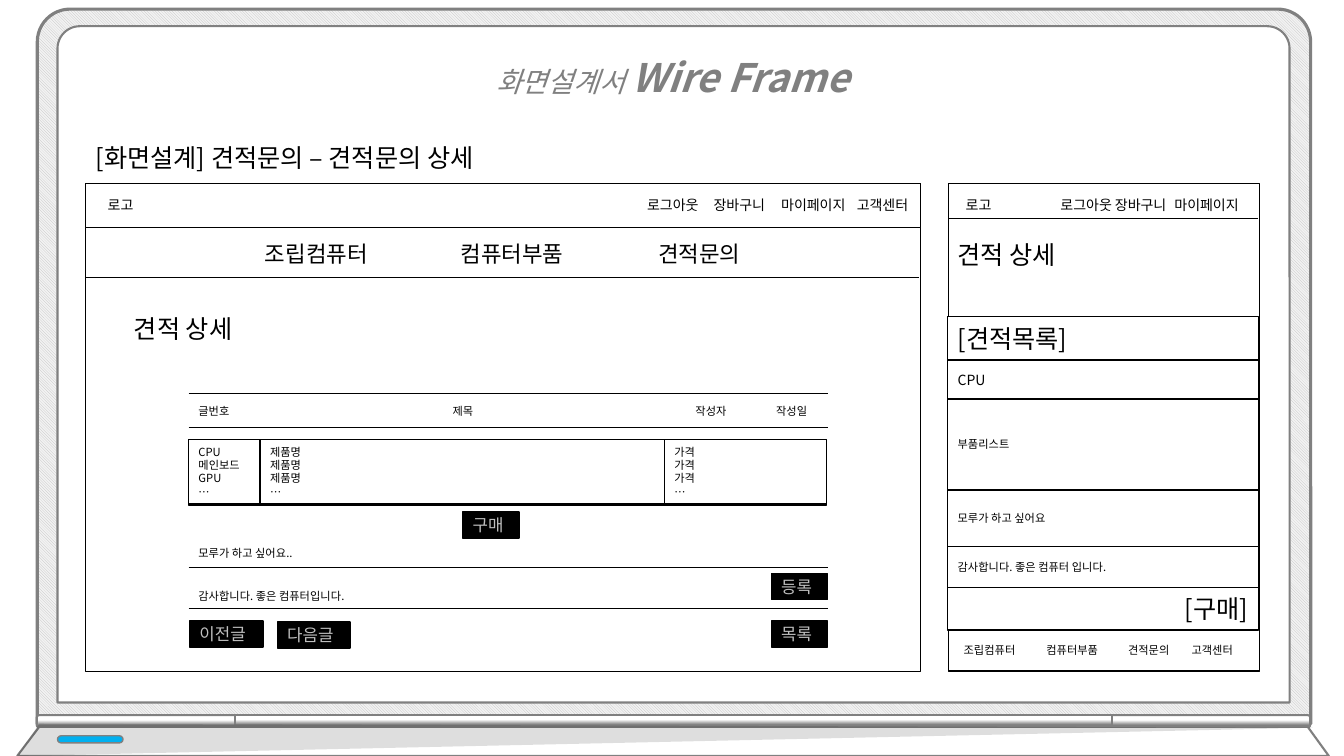
from dataclasses import dataclass
from itertools import accumulate

from lxml.etree import SubElement
from pptx import Presentation
from pptx.dml.color import RGBColor
from pptx.enum.dml import MSO_PATTERN
from pptx.enum.shapes import MSO_CONNECTOR, MSO_SHAPE
from pptx.enum.text import MSO_ANCHOR, MSO_AUTO_SIZE, PP_ALIGN
from pptx.oxml.ns import qn
from pptx.util import Inches, Pt


@dataclass(frozen=True)
class Theme:
    font: str = "Noto Sans CJK KR"
    ink: str = "000000"
    paper: str = "FFFFFF"
    frame: str = "808080"
    hatch: str = "BFBFBF"
    hatch_back: str = "F2F2F2"
    light: str = "00B0F0"
    button_text: str = "BFBFBF"
    title: int = 28
    kicker: int = 20
    heading: int = 18
    menu: int = 16
    button: int = 12
    label: int = 10
    small: int = 8
    border: float = 1
    rule: float = 0.5


THEME = Theme()
TITLE = ("화면설계서 ", "Wire Frame")

LABELS = [
    ("[화면설계] 견적문의 – 견적문의 상세", 0.85, 1.36, 4.85, THEME.heading),
    ("로고", 0.97, 1.9, 2.41, THEME.label),
    ("견적 상세", 1.23, 3.06, 2.29, THEME.heading),
    ("모루가 하고 싶어요..", 1.87, 5.37, 6.33, THEME.small),
    ("감사합니다. 좋은 컴퓨터입니다.", 1.87, 5.8, 5.7, THEME.small),
    ("로고", 9.48, 1.9, 0.52, THEME.label),
    ("견적 상세", 9.4, 2.33, 2.29, THEME.heading),
]
MENUS = [
    (1.9, 1.0, THEME.label,
     [("로그아웃", 6.32), ("장바구니", 6.98), ("마이페이지", 7.65), ("고객센터", 8.4)]),
    (2.33, 1.6, THEME.menu,
     [("조립컴퓨터", 2.53), ("컴퓨터부품", 4.47), ("견적문의", 6.43)]),
    (3.96, 0.6, THEME.small,
     [("글번호", 1.87), ("제목", 4.39), ("작성자", 6.8), ("작성일", 7.6)]),
    (1.9, 1.0, THEME.label,
     [("로그아웃", 10.42), ("장바구니", 10.96), ("마이페이지", 11.55)]),
    (6.33, 0.86, THEME.small,
     [("조립컴퓨터", 9.46), ("컴퓨터부품", 10.28), ("견적문의", 11.09), ("고객센터", 11.72)]),
]
PANELS = [
    (0.85, 1.82, 8.28, 4.84),
    (0.85, 1.82, 8.28, 0.44),
    (1.87, 4.36, 6.33, 0.65),
    (9.41, 1.82, 3.08, 4.84),
    (9.41, 6.24, 3.08, 0.41),
]
RULES = [(0.85, 9.11, 2.75), (9.41, 12.48, 2.17)]
RULES += [(1.87, 8.21, y) for y in (3.9, 4.24, 5.63, 6.04)]

PARTS_LEFT, PARTS_TOP, PARTS_HEIGHT = 1.87, 4.36, 0.64
PARTS = [
    (0.71, ["CPU", "메인보드", "GPU", "…"]),
    (4.01, ["제품명", "제품명", "제품명", "…"]),
    (1.61, ["가격", "가격", "가격", "…"]),
]
MOBILE_LEFT, MOBILE_TOP, MOBILE_WIDTH = 9.4, 3.14, 3.08
MOBILE_ROWS = [
    (0.43, "[견적목록]", THEME.heading, PP_ALIGN.LEFT),
    (0.39, "CPU", THEME.label, PP_ALIGN.LEFT),
    (0.9, "부품리스트", THEME.small, PP_ALIGN.LEFT),
    (0.56, "모루가 하고 싶어요", THEME.small, PP_ALIGN.LEFT),
    (0.41, "감사합니다. 좋은 컴퓨터 입니다.", THEME.small, PP_ALIGN.LEFT),
    (0.42, "[구매]", THEME.heading, PP_ALIGN.RIGHT),
]
BUTTONS = [
    ("구매", 4.59, 5.08, 0.56),
    ("등록", 7.65, 5.69, 0.56),
    ("목록", 7.65, 6.16, 0.56),
    ("이전글", 1.88, 6.16, 0.73),
    ("다음글", 2.75, 6.17, 0.72),
]
HINGES = [
    (1.29, 6.17, 1.97, 270, False, 0.193),
    (11.95, 6.17, 1.97, 90, True, 0.193),
    (6.62, 2.8, 8.7, 270, False, 0),
]
BASE = [(0.39, 7.21), (12.97, 7.21), (13.18, 7.5), (0.17, 7.5)]
BASE_SHADE = [(0.39, 7.18), (0.17, 7.5), (13.02, 7.22)]


def rgb(value):
    return RGBColor.from_string(value)


def style_run(run, size, color):
    run.font.size = Pt(size)
    run.font.name = THEME.font
    run.font.color.rgb = rgb(color)
    SubElement(run.font._element, qn("a:ea")).set("typeface", THEME.font)


def write(frame, text, size, color=THEME.ink, align=PP_ALIGN.LEFT):
    frame.word_wrap = True
    frame.text = text
    for paragraph in frame.paragraphs:
        paragraph.alignment = align
        for run in paragraph.runs:
            style_run(run, size, color)


def paint(shape, fill, line=None, width=THEME.border):
    shape.shadow.inherit = False
    if fill:
        shape.fill.solid()
        shape.fill.fore_color.rgb = rgb(fill)
    if line:
        shape.line.color.rgb = rgb(line)
        shape.line.width = Pt(width)
    else:
        shape.line.fill.background()
    return shape


def add_preset(shapes, preset, box, adjustments=()):
    shape = shapes.add_shape(preset, *map(Inches, box))
    for index, value in enumerate(adjustments):
        shape.adjustments[index] = value
    return shape


def add_box(shapes, box, fill=THEME.paper):
    return paint(add_preset(shapes, MSO_SHAPE.RECTANGLE, box), fill, THEME.ink)


def add_label(shapes, text, left, top, width, size):
    label = shapes.add_textbox(*map(Inches, (left, top, width, size / 60 + 0.1)))
    write(label.text_frame, text, size)


def add_outline(shapes, points):
    corners = [(Inches(x), Inches(y)) for x, y in points]
    builder = shapes.build_freeform(*corners[0])
    builder.add_line_segments(corners[1:], close=True)
    return builder.convert_to_shape()


def draw_laptop(shapes):
    rounded = MSO_SHAPE.ROUND_2_SAME_RECTANGLE
    lid = add_preset(shapes, rounded, (0.37, 0.09, 12.63, 7.09), (0.046, 0))
    lid.fill.patterned()
    lid.fill.pattern = MSO_PATTERN.LIGHT_DOWNWARD_DIAGONAL
    lid.fill.fore_color.rgb = rgb(THEME.hatch)
    lid.fill.back_color.rgb = rgb(THEME.hatch_back)
    paint(lid, None, THEME.frame, 2.25)
    screen = add_preset(shapes, rounded, (0.57, 0.26, 12.22, 6.71), (0.033, 0))
    paint(screen, THEME.paper, THEME.frame, 1.5)
    for left, top, length, rotation, flipped, corner in HINGES:
        hinge = add_preset(shapes, rounded, (left, top, 0.12, length), (corner, 0))
        hinge.rotation = rotation
        if flipped:
            hinge.element.spPr.find(qn("a:xfrm")).set("flipH", "1")
        hinge.fill.gradient()
        hinge.fill.gradient_angle = 0
        stops = ((0.17, THEME.frame), (0.59, THEME.paper))
        for stop, (position, color) in zip(hinge.fill.gradient_stops, stops):
            stop.position = position
            stop.color.rgb = rgb(color)
        paint(hinge, None, THEME.frame, 1.5)
    paint(add_outline(shapes, BASE), THEME.paper, THEME.frame, 1.5)
    shade = paint(add_outline(shapes, BASE_SHADE), THEME.ink)
    shade_color = shade.element.spPr.find(qn("a:solidFill"))[0]
    SubElement(shade_color, qn("a:alpha")).set("val", "13000")
    light = add_preset(shapes, MSO_SHAPE.ROUNDED_RECTANGLE, (0.57, 7.3, 0.65, 0.07), (0.5,))
    paint(light, THEME.light, THEME.frame)


def place_title(title):
    title.element.getparent().append(title.element)
    title.left, title.top, title.width, title.height = map(Inches, (3.67, 0.25, 6, 0.81))
    frame = title.text_frame
    frame.auto_size = MSO_AUTO_SIZE.NONE
    frame.vertical_anchor = MSO_ANCHOR.TOP
    heading = frame.paragraphs[0]
    heading.alignment = PP_ALIGN.CENTER
    heading.line_spacing = 1.5
    for text, size, bold in zip(TITLE, (THEME.kicker, THEME.title), (False, True)):
        run = heading.add_run()
        run.text = text
        style_run(run, size, THEME.frame)
        run.font.italic = True
        run.font.bold = bold


def add_cell(shapes, box, text, size, align=PP_ALIGN.LEFT, fill=THEME.paper, color=THEME.ink):
    cell = add_box(shapes, box, fill)
    cell.text_frame.vertical_anchor = MSO_ANCHOR.MIDDLE
    write(cell.text_frame, text, size, color, align)


def draw_wireframe(shapes):
    for panel in PANELS:
        add_box(shapes, panel)
    for start, end, y in RULES:
        rule = shapes.add_connector(MSO_CONNECTOR.STRAIGHT, *map(Inches, (start, y, end, y)))
        rule.line.color.rgb = rgb(THEME.ink)
        rule.line.width = Pt(THEME.rule)
        SubElement(rule.element.spPr, qn("a:effectLst"))
    part_lefts = accumulate((width for width, _ in PARTS), initial=PARTS_LEFT)
    for left, (width, lines) in zip(part_lefts, PARTS):
        add_cell(shapes, (left, PARTS_TOP, width, PARTS_HEIGHT), "\n".join(lines), THEME.small)
    row_tops = accumulate((row[0] for row in MOBILE_ROWS), initial=MOBILE_TOP)
    for top, (height, text, size, align) in zip(row_tops, MOBILE_ROWS):
        add_cell(shapes, (MOBILE_LEFT, top, MOBILE_WIDTH, height), text, size, align)
    for text, left, top, width in BUTTONS:
        add_cell(shapes, (left, top, width, 0.26), text, THEME.button,
                 fill=THEME.ink, color=THEME.button_text)
    for label in LABELS:
        add_label(shapes, *label)
    for top, width, size, entries in MENUS:
        for text, left in entries:
            add_label(shapes, text, left, top, width, size)


def main():
    deck = Presentation()
    deck.slide_width, deck.slide_height = Inches(13.33), Inches(7.5)
    slide = deck.slides.add_slide(deck.slide_layouts[5])
    draw_laptop(slide.shapes.add_group_shape().shapes)
    place_title(slide.shapes.title)
    draw_wireframe(slide.shapes)
    deck.save("out.pptx")


if __name__ == "__main__":
    main()
